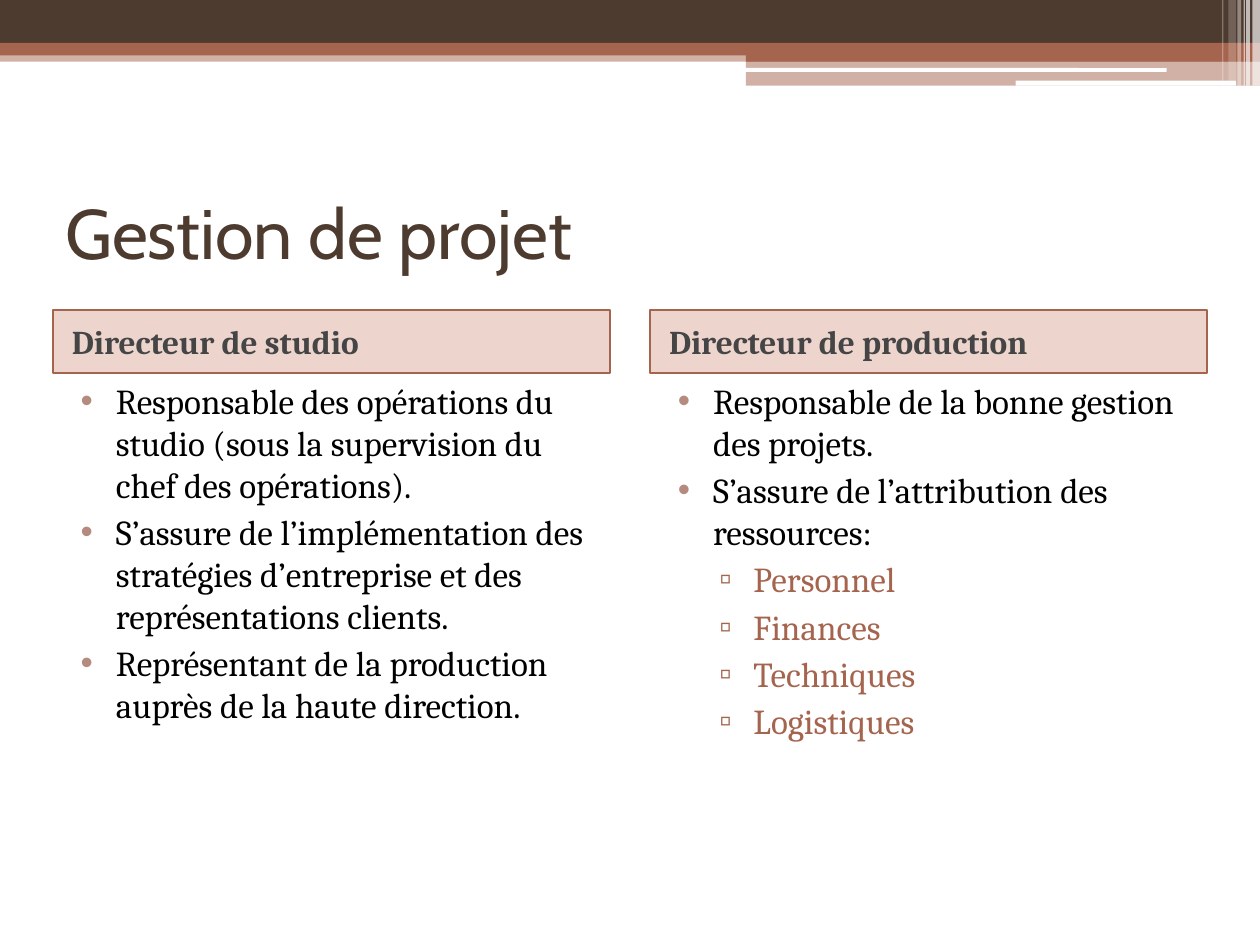
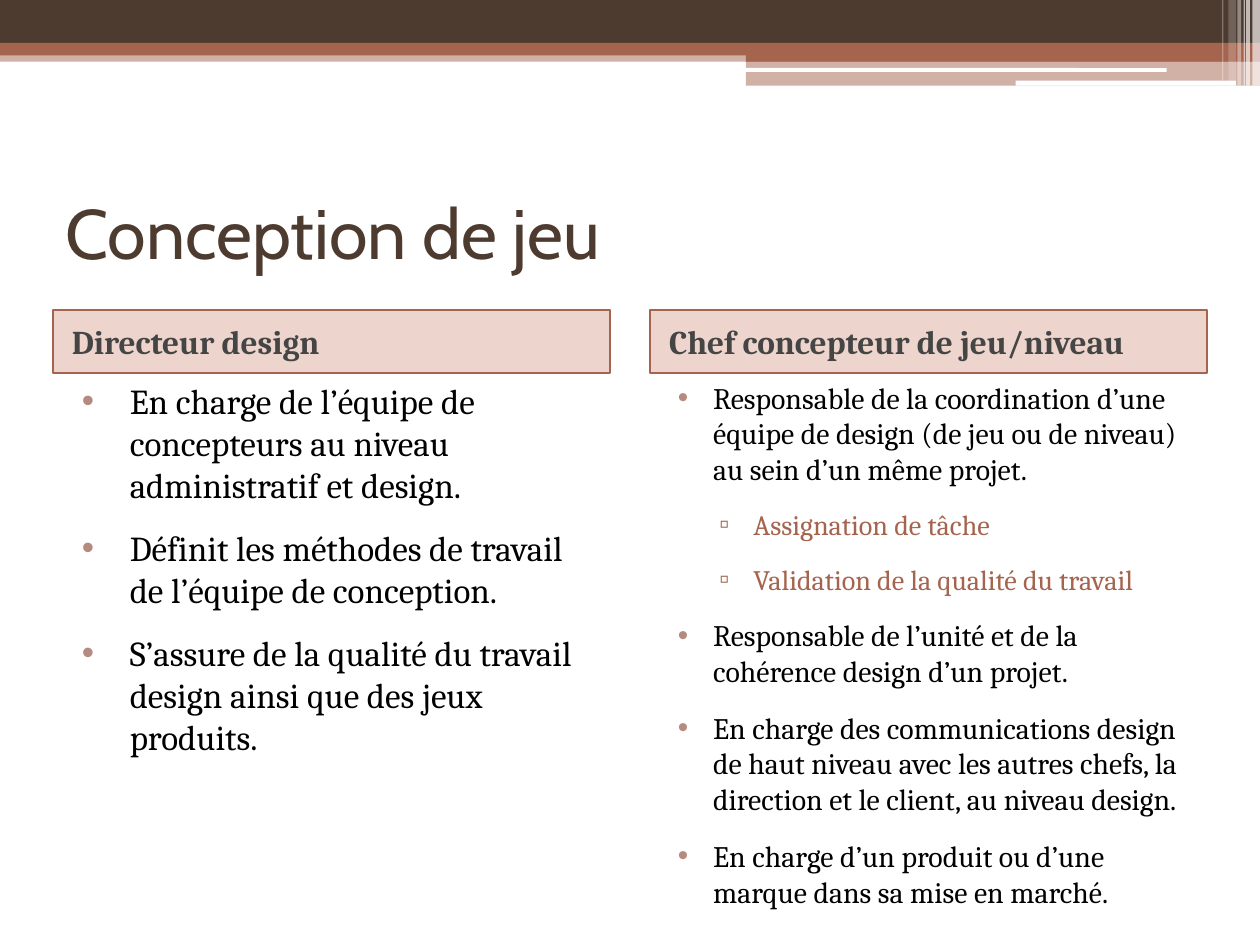
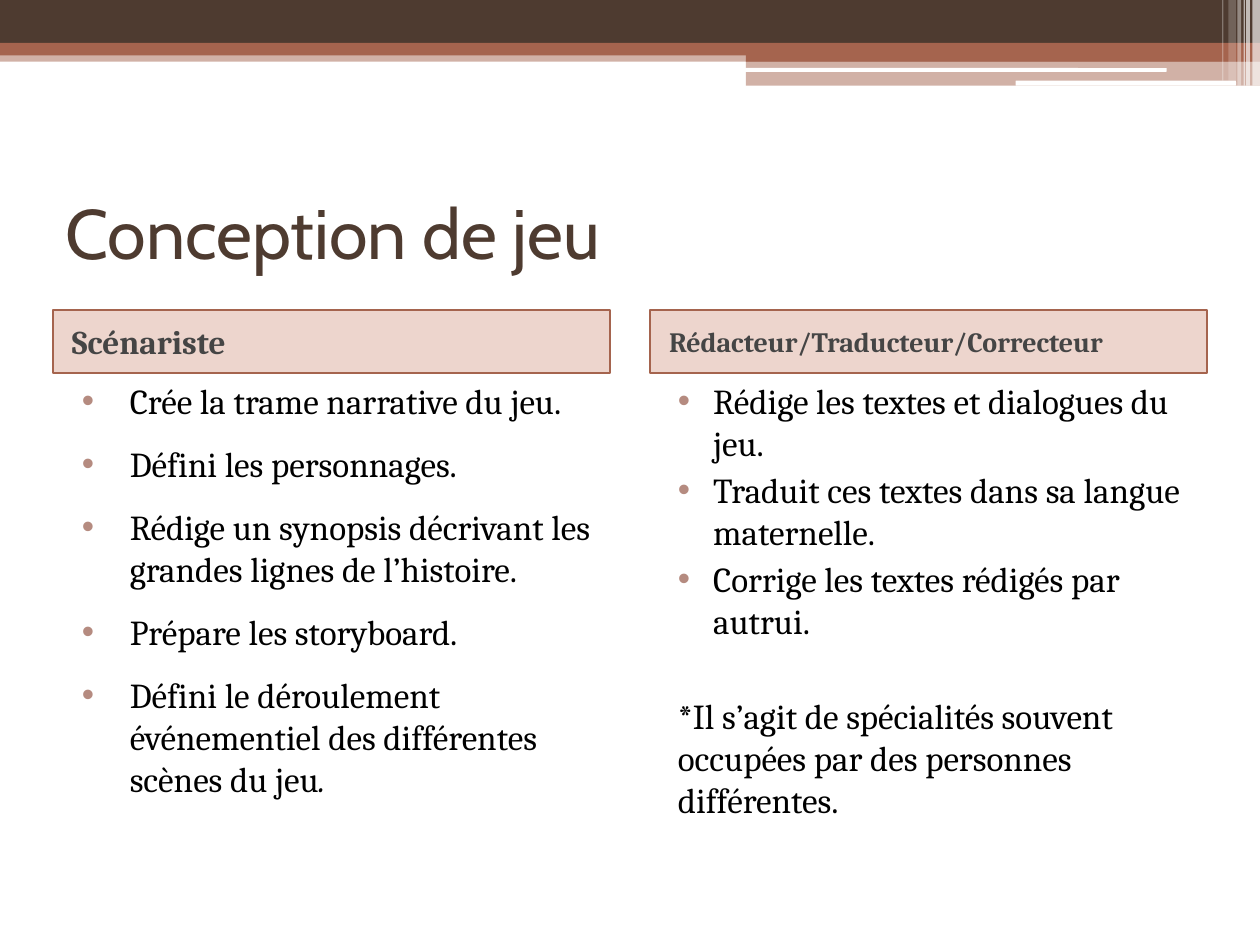
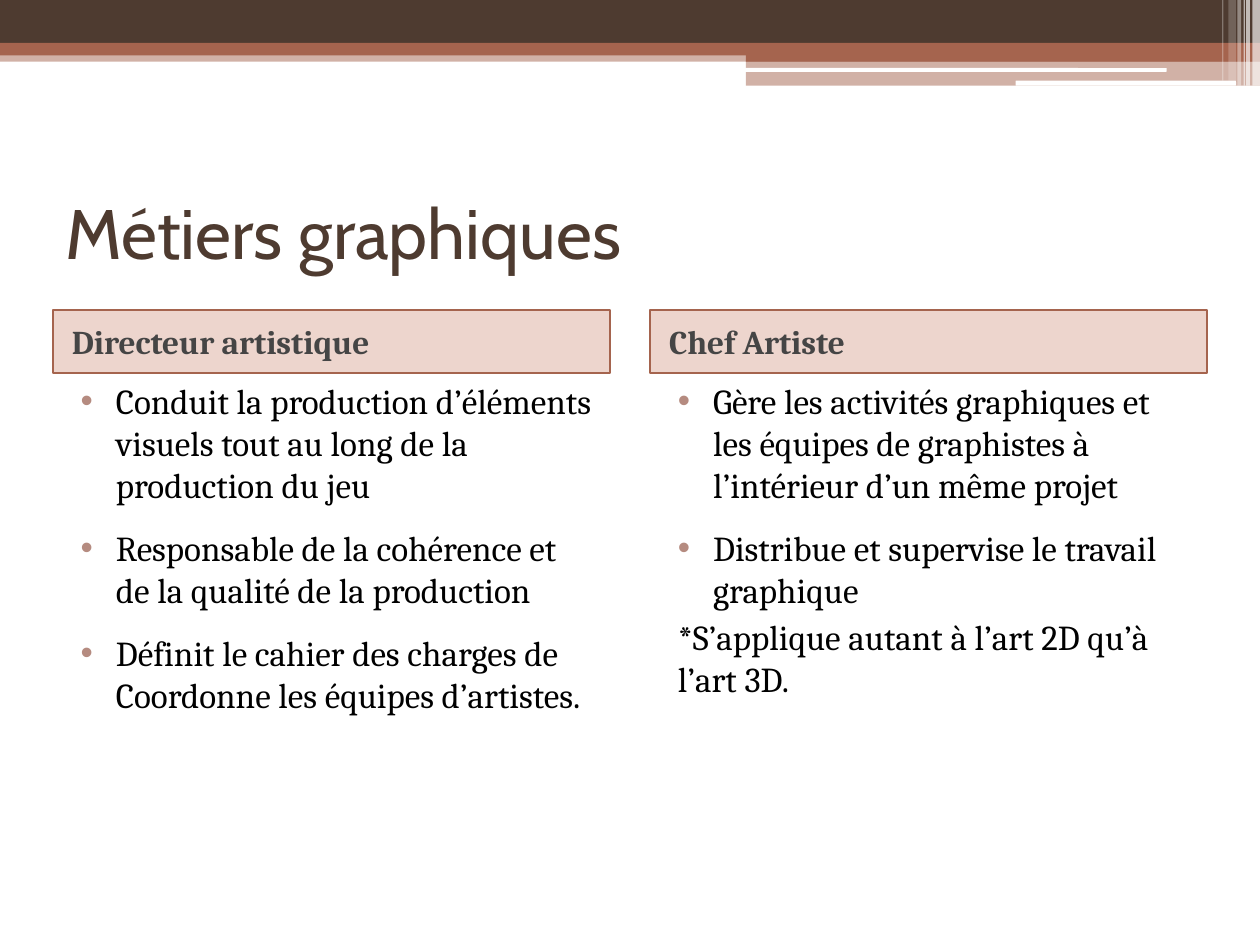
from lxml.etree import SubElement
from pptx import Presentation
from pptx.dml.color import RGBColor
from pptx.enum.shapes import MSO_SHAPE as Preset
from pptx.enum.text import MSO_ANCHOR as Anchor, MSO_AUTO_SIZE as AutoSize, PP_ALIGN as Align
from pptx.oxml.ns import qn
from pptx.util import Inches, Pt

COLORS = {
    "brown": "4E3B30", "rust": "A5644E", "blush": "BB5938", "rose": "B58B80",
    "gray": "454545", "black": "000000", "white": "FFFFFF",
}
TITLE_FONT, TEXT_FONT = "Cabin", "Cambria"
COMPARISON_LAYOUT = 4
COLUMN_LEFTS = (0.42, 5.16)
COLUMN_WIDTH = 4.42

BANDS = [
    (0, 0.4, 10, 0.09, "rust", 50),
    (0, 0, 10, 0.34, "brown", 100),
    (0, 0.34, 10, 0.1, "rust", 100),
    (5.92, 0.39, 4.08, 0.1, "rust", 100),
    (5.92, 0.48, 4.08, 0.2, "rust", 50),
]
RULES = [(5.91, 0.54, 3.35, 0.03), (8.06, 0.64, 1.75, 0.04)]
STRIPES = [
    (9.94, 0.06, 0.68, 65), (9.89, 0.03, 0.68, 65), (9.87, 0.01, 0.68, 60),
    (9.82, 0.03, 0.68, 40), (9.75, 0.06, 0.64, 20), (9.7, 0.01, 0.64, 30),
]

BULLETS = {
    "point": (0.4, -0.28, "•", "rose", "black"),
    "wide": (0.51, -0.38, "•", "rose", "black"),
    "sub": (0.72, -0.27, "▫", "rust", "rust"),
    "note": (0.12, 0, None, None, "black"),
}


class Deck:
    def __init__(self):
        self.prs = Presentation()
        self.prs.slide_width, self.prs.slide_height = Inches(10), Inches(7.5)
        self.layout = self.prs.slide_layouts[COMPARISON_LAYOUT]
        self.slide = None

    def new_slide(self, title):
        self.slide = self.prs.slides.add_slide(self.layout)
        frame = self.place(0, 0.42, 1.25, 9.17, 1.17, Anchor.MIDDLE).text_frame
        paragraph = frame.paragraphs[0]
        paragraph.alignment = Align.LEFT
        self.run(paragraph, title, 40, "brown", TITLE_FONT)

    def place(self, idx, left, top, width, height, anchor):
        holder = self.slide.placeholders[idx]
        holder.left, holder.top = Inches(left), Inches(top)
        holder.width, holder.height = Inches(width), Inches(height)
        holder.text_frame.auto_size = AutoSize.NONE
        holder.text_frame.word_wrap = True
        holder.text_frame.vertical_anchor = anchor
        return holder

    def run(self, paragraph, text, size, color, font=TEXT_FONT, bold=False, italic=False):
        run = paragraph.add_run()
        run.text = text
        run.font.name, run.font.size = font, Pt(size)
        run.font.bold, run.font.italic = bold, italic
        run.font.color.rgb = RGBColor.from_string(COLORS[color])

    def fill(self, shape, color, opacity=100):
        shape.fill.solid()
        shape.fill.fore_color.rgb = RGBColor.from_string(COLORS[color])
        if opacity < 100:
            tint = shape.fill._xPr.find(qn("a:solidFill"))[0]
            SubElement(tint, qn("a:alpha"), val=str(opacity * 1000))

    def band(self, left, top, width, height, color, opacity=100, preset=Preset.RECTANGLE):
        band = self.slide.shapes.add_shape(
            preset, Inches(left), Inches(top), Inches(width), Inches(height))
        band.shadow.inherit = False
        band.line.fill.background()
        self.fill(band, color, opacity)
        return band

    def decorate_layout(self):
        bands = [self.band(*band) for band in BANDS]
        bands += [self.band(*rule, "white", preset=Preset.ROUNDED_RECTANGLE) for rule in RULES]
        bands += [self.band(left, 0, width, height, "white", opacity)
                  for left, width, height, opacity in STRIPES]
        for position, band in enumerate(bands):
            band._element.nvSpPr.cNvPr.set("id", str(100 + position))
            self.layout.shapes._spTree.insert(2 + position, band._element)

    def indent(self, paragraph, margin, hanging, bullet=None, color=None):
        props = paragraph._p.get_or_add_pPr()
        props.set("marL", str(Inches(margin)))
        props.set("indent", str(Inches(hanging)))
        if bullet is None:
            SubElement(props, qn("a:buNone"))
            return
        tint = SubElement(props, qn("a:buClr"))
        SubElement(tint, qn("a:srgbClr"), val=COLORS[color])
        SubElement(props, qn("a:buChar"), char=bullet)

    def heading(self, column, text, size=19):
        heading = self.place(1 + 2 * column, COLUMN_LEFTS[column], 2.46, COLUMN_WIDTH, 0.5,
                             Anchor.MIDDLE)
        self.fill(heading, "blush", 25)
        heading.line.color.rgb = RGBColor.from_string(COLORS["rust"])
        heading.line.width = Pt(1)
        paragraph = heading.text_frame.paragraphs[0]
        self.indent(paragraph, 0.05, 0)
        paragraph.space_before = Pt(0)
        self.run(paragraph, text, size, "gray", bold=True)

    def duties(self, column, items, gap=3, note_gap=3, size=20, sub_size=20):
        frame = self.place(2 + 2 * column, COLUMN_LEFTS[column], 2.96, COLUMN_WIDTH, 4.25,
                           Anchor.TOP).text_frame
        for position, (kind, text, *italic_end) in enumerate(items):
            paragraph = frame.add_paragraph() if position else frame.paragraphs[0]
            margin, hanging, bullet, bullet_color, color = BULLETS[kind]
            paragraph.level = 1 if kind == "sub" else 0
            self.indent(paragraph, margin, hanging, bullet, bullet_color)
            before = note_gap if kind == "note" else gap
            paragraph.space_before = Pt(before if position else 0)
            points = sub_size if kind == "sub" else size
            self.run(paragraph, text, points, color)
            for ending in italic_end:
                self.run(paragraph, ending, points, color, italic=True)


def main():
    deck = Deck()

    deck.new_slide("Gestion de projet")
    deck.decorate_layout()
    deck.heading(0, "Directeur de studio")
    deck.duties(0, [
        ("point", "Responsable des opérations du studio (sous la supervision du chef des opérations)."),
        ("point", "S’assure de l’implémentation des stratégies d’entreprise et des représentations clients."),
        ("point", "Représentant de la production auprès de la haute direction."),
    ])
    deck.heading(1, "Directeur de production")
    deck.duties(1, [
        ("point", "Responsable de la bonne gestion des projets."),
        ("point", "S’assure de l’attribution des ressources:"),
        ("sub", "Personnel"),
        ("sub", "Finances"),
        ("sub", "Techniques"),
        ("sub", "Logistiques"),
    ])

    deck.new_slide("Conception de jeu")
    deck.heading(0, "Directeur design")
    deck.duties(0, [
        ("wide", "En charge de l’équipe de concepteurs au niveau administratif et design."),
        ("wide", "Définit les méthodes de travail de l’équipe de conception."),
        ("wide", "S’assure de la qualité du travail design ainsi que des jeux produits."),
    ], gap=12)
    deck.heading(1, "Chef concepteur de jeu/niveau")
    deck.duties(1, [
        ("point", "Responsable de la coordination d’une équipe de design (de jeu ou de niveau) "
                  "au sein d’un même projet."),
        ("sub", "Assignation de tâche"),
        ("sub", "Validation de la qualité du travail"),
        ("point", "Responsable de l’unité et de la cohérence design d’un projet."),
        ("point", "En charge des communications design de haut niveau avec les autres chefs, "
                  "la direction et le client, au niveau design."),
        ("point", "En charge d’un produit ou d’une marque dans sa mise en marché."),
    ], gap=12, size=17, sub_size=16.1)

    deck.new_slide("Conception de jeu")
    deck.heading(0, "Scénariste")
    deck.duties(0, [
        ("wide", "Crée la trame narrative du jeu."),
        ("wide", "Défini les personnages."),
        ("wide", "Rédige un synopsis décrivant les grandes lignes de l’histoire."),
        ("wide", "Prépare les storyboard."),
        ("wide", "Défini le déroulement événementiel des différentes scènes du jeu", "."),
    ], gap=12)
    deck.heading(1, "Rédacteur/Traducteur/Correcteur", size=16)
    deck.duties(1, [
        ("point", "Rédige les textes et dialogues du jeu."),
        ("point", "Traduit ces textes dans sa langue maternelle."),
        ("point", "Corrige les textes rédigés par autrui."),
        ("note", "*Il s’agit de spécialités souvent occupées par des personnes différentes."),
    ], note_gap=30)

    deck.new_slide("Métiers graphiques")
    deck.heading(0, "Directeur artistique")
    deck.duties(0, [
        ("point", "Conduit la production d’éléments visuels tout au long de la production du jeu"),
        ("point", "Responsable de la cohérence et de la qualité de la production"),
        ("point", "Définit le cahier des charges de Coordonne les équipes d’artistes."),
    ], gap=12)
    deck.heading(1, "Chef Artiste")
    deck.duties(1, [
        ("point", "Gère les activités graphiques et les équipes de graphistes à l’intérieur "
                  "d’un même projet"),
        ("point", "Distribue et supervise le travail graphique"),
        ("note", "*S’applique autant à l’art 2D qu’à l’art 3D."),
    ], gap=12)

    deck.prs.save("out.pptx")


if __name__ == "__main__":
    main()
